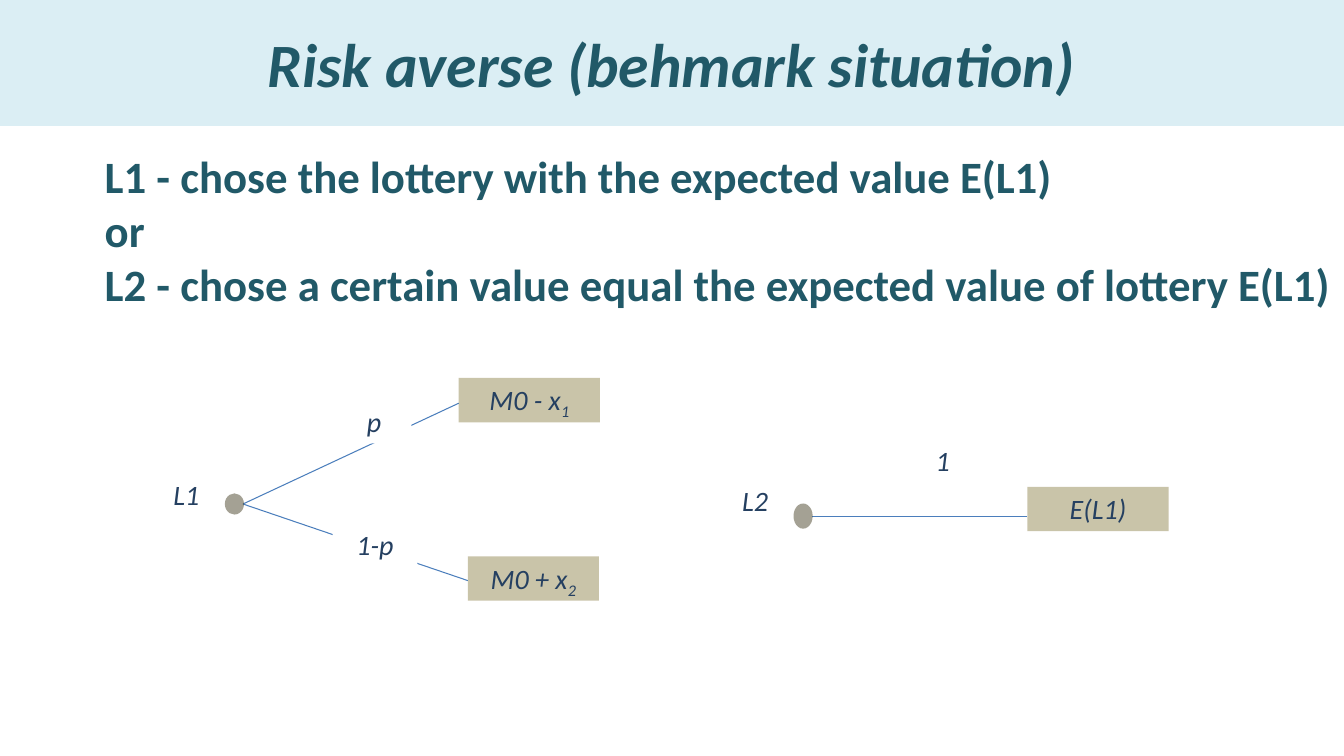
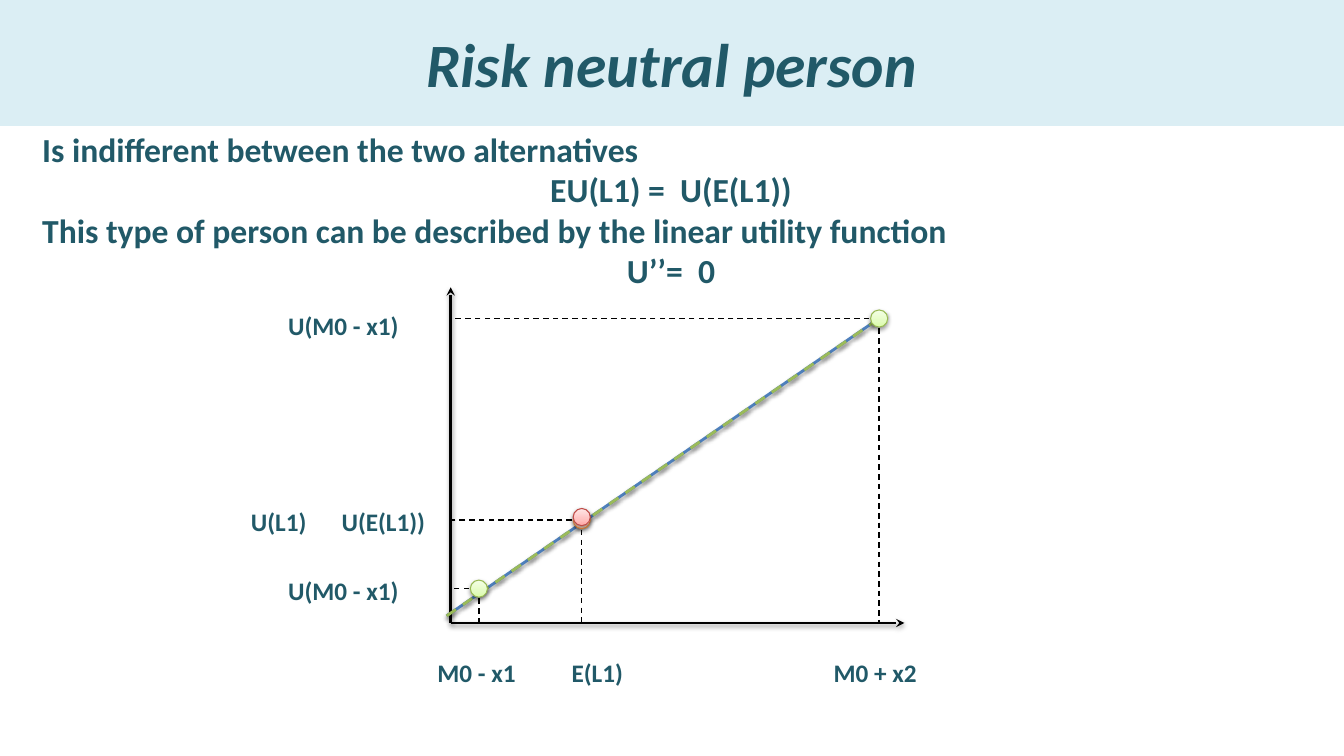
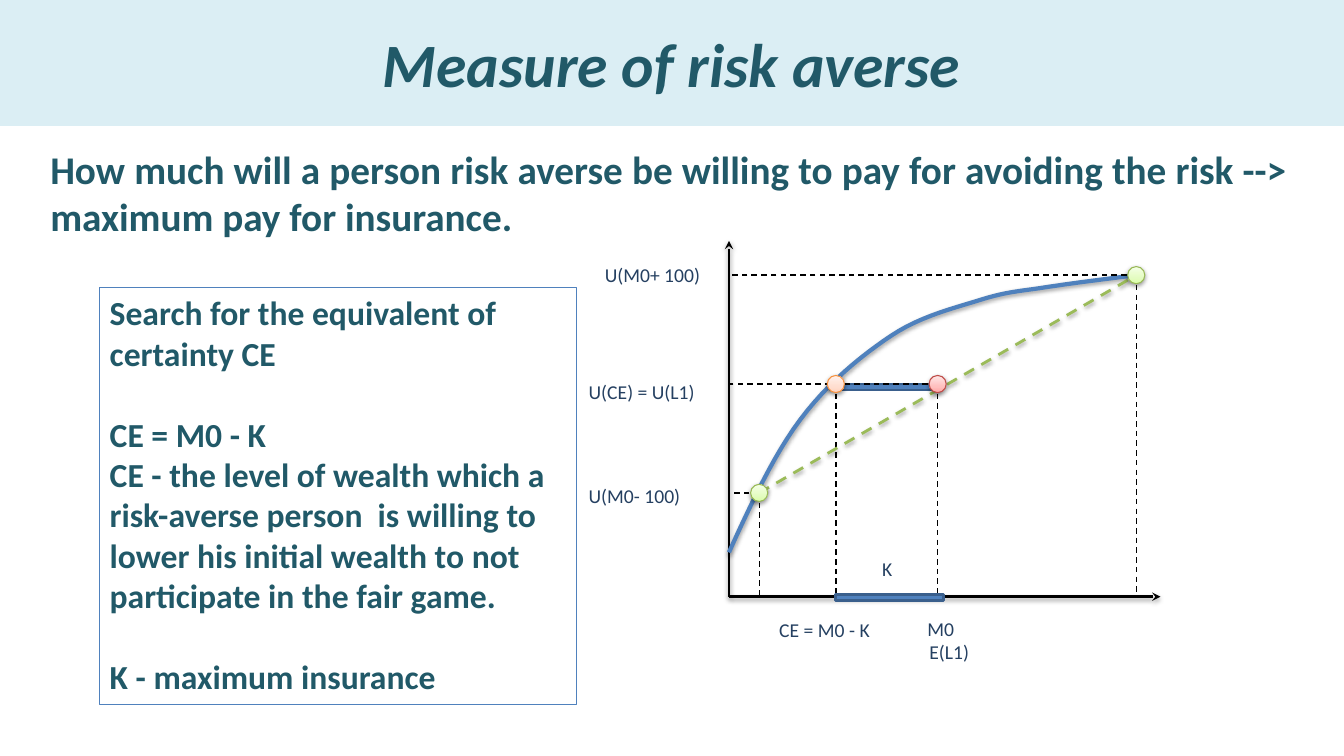
import dataclasses

import pptx
import pptx.dml.color
import pptx.enum.dml
import pptx.enum.shapes
import pptx.enum.text
import pptx.oxml
import pptx.oxml.ns
import pptx.util

Inches = pptx.util.Inches
Shapes = pptx.enum.shapes.MSO_SHAPE
Align = pptx.enum.text.PP_ALIGN
Anchor = pptx.enum.text.MSO_ANCHOR


@dataclasses.dataclass(frozen=True)
class Theme:
    font: str = "Calibri"
    band: str = "DBEEF4"
    teal: str = "215968"
    navy: str = "254061"
    blue: str = "4F81BD"
    dark_blue: str = "3A5F8C"
    branch: str = "4B7EBC"
    green: str = "9BBB59"
    node: str = "4A452A"
    outcome: str = "948A54"
    white: str = "FFFFFF"
    black: str = "000000"
    title_size: int = 44
    lead_size: int = 32
    question_size: int = 28
    body_size: int = 24
    tree_size: int = 20
    plot_size: int = 18
    small_size: int = 14


@dataclasses.dataclass(frozen=True)
class Box:
    left: float
    top: float
    width: float
    height: float

    def at(self, x, y):
        return self.left + x, self.top + y

    def inner(self, x, y, width, height):
        return Box(self.left + x, self.top + y, width, height)

    def lengths(self):
        return [Inches(v) for v in (self.left, self.top, self.width, self.height)]


THEME = Theme()
# Marker colours: outline, then gradient stops at 0, 35 and 100 percent
GREEN_DOT = ("98B955", "DAFDA7", "E4FCC2", "F5FFE7")
ORANGE_DOT = ("F69240", "FFD2BD", "FFDED0", "FFF2ED")
RED_DOT = ("BF4C48", "FFA6A5", "FFC0BF", "FFE7E7")
MARKER_SIZE = 0.17


def rgb(value):
    return pptx.dml.color.RGBColor.from_string(value)


# Basic drawing

def set_effects(shape, shadow=False):
    """Replace the style's shadow by none or by a soft one below."""
    content = ""
    if shadow:
        content = ('<a:outerShdw blurRad="40000" dist="20000" dir="5400000" rotWithShape="0">'
                   '<a:srgbClr val="000000"><a:alpha val="38000"/></a:srgbClr></a:outerShdw>')
    shape._element.spPr.append(pptx.oxml.parse_xml(
        f'<a:effectLst {pptx.oxml.ns.nsdecls("a")}>{content}</a:effectLst>'))


def set_line(shape, color, width, dashed=False):
    shape.line.color.rgb = rgb(color)
    shape.line.width = pptx.util.Pt(width)
    if dashed:
        shape.line.dash_style = pptx.enum.dml.MSO_LINE.DASH


def add_line(slide, start, end, color, width, dashed=False, shadow=False, arrow=False):
    points = [Inches(value) for value in (*start, *end)]
    connector = slide.shapes.add_connector(pptx.enum.shapes.MSO_CONNECTOR.STRAIGHT, *points)
    set_line(connector, color, width, dashed)
    if arrow:
        connector.line._get_or_add_ln().append(pptx.oxml.parse_xml(
            f'<a:tailEnd {pptx.oxml.ns.nsdecls("a")} type="stealth"/>'))
    set_effects(connector, shadow)


def add_shape(slide, kind, box, fill=None, opacity=100, line=None, line_width=0.75):
    shape = slide.shapes.add_shape(kind, *box.lengths())
    shape.shadow.inherit = False
    if fill is None:
        shape.fill.background()
    else:
        shape.fill.solid()
        shape.fill.fore_color.rgb = rgb(fill)
        if opacity < 100:
            color = shape._element.spPr.find(".//" + pptx.oxml.ns.qn("a:srgbClr"))
            color.append(pptx.oxml.parse_xml(
                f'<a:alpha {pptx.oxml.ns.nsdecls("a")} val="{opacity * 1000}"/>'))
    if line is None:
        shape.line.fill.background()
    else:
        set_line(shape, line, line_width)
    return shape


def write(shape, paragraphs, size, color, bold=False, italic=False,
          align=Align.LEFT, anchor=Anchor.TOP):
    """Each paragraph is (text or runs, alignment or None, space before)."""
    frame = shape.text_frame
    frame.word_wrap = True
    frame.vertical_anchor = anchor
    for index, (runs, own_align, space) in enumerate(paragraphs):
        paragraph = frame.paragraphs[0] if index == 0 else frame.add_paragraph()
        paragraph.alignment = align if own_align is None else own_align
        if space:
            paragraph.space_before = pptx.util.Pt(space)
        for text, baseline in ([(runs, 0)] if isinstance(runs, str) else runs):
            run = paragraph.add_run()
            run.text = text
            run.font.name = THEME.font
            run.font.size = pptx.util.Pt(size)
            run.font.color.rgb = rgb(color)
            run.font.bold = bold
            run.font.italic = italic
            if baseline:
                run._r.get_or_add_rPr().set("baseline", str(baseline * 1000))


def add_text(slide, box, paragraphs, size, color=THEME.teal, **style):
    write(slide.shapes.add_textbox(*box.lengths()), paragraphs, size, color, **style)


def add_titled_slide(presentation, title):
    slide = presentation.slides.add_slide(presentation.slide_layouts[6])
    band = add_shape(slide, Shapes.RECTANGLE, Box(0, 0, 13.33, 1.25), THEME.band)
    write(band, [(title, None, 0)], THEME.title_size, THEME.teal, bold=True, italic=True,
          align=Align.CENTER, anchor=Anchor.MIDDLE)
    return slide


# Lottery tree

def add_lottery(slide, box, name, name_top, node_middle, node_height, branches):
    """Each branch is (outcome runs, outcome box, line end y, chance, chance box)."""
    node = box.inner(0.75, node_middle - node_height / 2, 0.19, node_height)
    for _, (x, *_rest), line_end, _, _ in branches:
        add_line(slide, box.at(0.93, node_middle), box.at(x, line_end), THEME.branch, 0.75)
    add_shape(slide, Shapes.OVAL, node, THEME.node, 50)
    labels = [(name, (0, name_top, 0.74), THEME.white, 100)]
    for outcome, outcome_place, _, chance, chance_place in branches:
        labels.append((outcome, outcome_place, THEME.outcome, 50))
        labels.append((chance, chance_place, THEME.white, 100))
    for text, (x, y, width), fill, opacity in labels:
        label = add_shape(slide, Shapes.RECTANGLE, box.inner(x, y, width, 0.44), fill, opacity)
        write(label, [(text, None, 0)], THEME.tree_size, THEME.navy, italic=True,
              align=Align.CENTER)


# Utility plot: offsets run from the top left corner of the axes

def add_axes(slide, axes):
    corner = axes.at(0, axes.height)
    for end in (axes.at(0, 0), axes.at(axes.width, axes.height)):
        add_line(slide, corner, end, THEME.black, 2, shadow=True, arrow=True)


def add_guides(slide, axes, points):
    """Dashed lines from each point to both axes."""
    for x, y in points:
        for end in (axes.at(x, axes.height), axes.at(0, y)):
            add_line(slide, axes.at(x, y), end, THEME.black, 1, dashed=True)


def add_markers(slide, axes, markers):
    for (x, y), (outline, *stops) in markers:
        half = MARKER_SIZE / 2
        place = axes.inner(x - half, y - half, MARKER_SIZE, MARKER_SIZE)
        marker = slide.shapes.add_shape(Shapes.OVAL, *place.lengths())
        gradient = "".join(f'<a:gs pos="{position}000"><a:srgbClr val="{color}"/></a:gs>'
                           for position, color in zip((0, 35, 100), stops))
        marker._element.spPr.append(pptx.oxml.parse_xml(
            f'<a:gradFill {pptx.oxml.ns.nsdecls("a")} rotWithShape="1"><a:gsLst>{gradient}'
            '</a:gsLst><a:lin ang="16200000" scaled="0"/></a:gradFill>'))
        set_line(marker, outline, 0.75)
        set_effects(marker, shadow=True)


def add_plot_labels(slide, axes, labels, size, color, bold=False):
    for text, x, y, width in labels:
        add_text(slide, axes.inner(x, y, width, 0.4), [(text, None, 0)], size, color, bold=bold)


def add_curve(slide, axes, start, segments, steps=12):
    """Draw cubic segments, each (first control, second control, end)."""
    points = [start]
    for first, second, end in segments:
        origin = points[-1]
        for step in range(1, steps + 1):
            t = step / steps
            weights = ((1 - t) ** 3, 3 * t * (1 - t) ** 2, 3 * t * t * (1 - t), t ** 3)
            points.append(tuple(
                sum(weight * point[axis] for weight, point
                    in zip(weights, (origin, first, second, end))) for axis in (0, 1)))
    places = [tuple(Inches(value) for value in axes.at(*point)) for point in points]
    builder = slide.shapes.build_freeform(*places[0], scale=1.0)
    builder.add_line_segments(places[1:], close=False)
    curve = builder.convert_to_shape()
    curve.fill.background()
    set_line(curve, THEME.blue, 3)
    set_effects(curve, shadow=True)


def add_linear_plot(slide, axes):
    start, low, middle, high = (-0.04, 3.26), (0.28, 2.99), (1.3, 2.31), (4.25, 0.31)
    add_line(slide, axes.at(*start), axes.at(4.32, 0.26), THEME.blue, 2, shadow=True)
    add_axes(slide, axes)
    add_guides(slide, axes, [low, middle, high])
    add_line(slide, axes.at(*start), axes.at(*high), THEME.green, 2, dashed=True, shadow=True)
    add_markers(slide, axes, [(high, GREEN_DOT), (low, GREEN_DOT), (middle, ORANGE_DOT),
                              ((1.3, 2.28), RED_DOT)])
    add_plot_labels(slide, axes, [
        ("U(M0 - x1)", -1.71, 0.18, 1.48),
        ("U(M0 - x1)", -1.71, 2.81, 1.48),
        ("U(L1)", -2.08, 2.12, 0.98),
        ("U(E(L1))", -1.18, 2.12, 1.14),
        ("M0 - x1", -0.23, 3.62, 1.28),
        ("E(L1)", 1.1, 3.62, 1.18),
        ("M0 + x2", 3.7, 3.62, 1.42),
    ], THEME.plot_size, THEME.teal, bold=True)


def add_concave_plot(slide, axes):
    low, certain, expected, high = (0.3, 2.5), (1.06, 1.42), (2.07, 1.42), (4.04, 0.34)

    def add_premium_bar(x, y):
        add_shape(slide, Shapes.RECTANGLE, axes.inner(x, y, 1.07, 0.06), THEME.blue,
                  line=THEME.dark_blue, line_width=2)

    add_premium_bar(1.01, 1.42)
    add_axes(slide, axes)
    add_curve(slide, axes, (0, 3.09), [
        ((0.22, 2.61), (0.44, 2.13), (0.71, 1.77)),
        ((0.98, 1.41), (1.31, 1.14), (1.61, 0.94)),
        ((1.91, 0.74), (2.26, 0.66), (2.51, 0.58)),
        ((2.77, 0.5), (2.89, 0.5), (3.14, 0.46)),
        ((3.4, 0.42), (3.72, 0.38), high),
    ])
    add_guides(slide, axes, [low, expected, high])
    add_line(slide, axes.at(*certain), axes.at(certain[0], axes.height),
             THEME.black, 1, dashed=True)
    add_line(slide, axes.at(*low), axes.at(*high), THEME.green, 2, dashed=True, shadow=True)
    add_markers(slide, axes, [(high, GREEN_DOT), (expected, RED_DOT),
                              (certain, ORANGE_DOT), (low, GREEN_DOT)])
    add_premium_bar(1.06, 3.51)
    add_plot_labels(slide, axes, [
        ("U(M0+ 100)", -1.33, 0.17, 1.33),
        ("U(CE) = U(L1)", -1.49, 1.33, 1.71),
        ("U(M0- 100)", -1.49, 2.36, 1.39),
        ("K", 1.42, 3.09, 0.4),
        ("CE = M0 - K", 0.4, 3.69, 1.32),
        ("M0", 1.87, 3.68, 0.6),
        ("E(L1)", 1.89, 3.91, 0.97),
    ], THEME.small_size, THEME.navy)


# Slides

def build_benchmark_slide(presentation):
    slide = add_titled_slide(presentation, "Risk averse (behmark situation)")
    add_text(slide, Box(0.94, 1.43, 12.39, 1.72), [
        ("L1 - chose the lottery with the expected value E(L1)", None, 0),
        ("or", None, 0),
        ("L2 - chose a certain value equal the expected value of lottery E(L1)", None, 0),
    ], THEME.lead_size, bold=True)
    add_lottery(slide, Box(1.48, 3.75, 4.47, 2.21), "L1", 0.94, 1.25, 0.21, [
        ([("M0 - x", 0), ("1", -25)], (3.07, 0, 1.4), 0.25, "p", (1.86, 0.21, 0.74)),
        ([("M0 + x", 0), ("2", -25)], (3.16, 1.77, 1.3), 2.01, "1-p", (1.82, 1.43, 0.84)),
    ])
    add_lottery(slide, Box(7.12, 4.35, 4.47, 0.92), "L2", 0.4, 0.77, 0.25, [
        ("E(L1)", (3.07, 0.48, 1.4), 0.77, "1", (1.86, 0, 0.74)),
    ])


def build_neutral_slide(presentation):
    slide = add_titled_slide(presentation, "Risk neutral person")
    add_text(slide, Box(0.32, 1.23, 12.67, 1.72), [
        ("Is indifferent between the two alternatives", None, 0),
        ("EU(L1) =  U(E(L1))", Align.CENTER, 0),
        ("This type of person can be described by the linear utility function", None, 0),
        ("U’’=  0", Align.CENTER, 0),
    ], THEME.body_size, bold=True)
    add_linear_plot(slide, Box(4.47, 2.85, 4.5, 3.33))


def build_measure_slide(presentation):
    slide = add_titled_slide(presentation, "Measure of risk averse")
    add_text(slide, Box(0.4, 1.39, 12.55, 1.04), [
        ("How much will a person risk averse be willing to pay for avoiding the risk -->  "
         "maximum pay for insurance.", None, 0),
    ], THEME.question_size, bold=True, align=Align.JUSTIFY)
    add_concave_plot(slide, Box(7.23, 2.39, 4.28, 3.53))
    # Definition panel, with a line's height before each new group
    panel = add_shape(slide, Shapes.RECTANGLE, Box(0.99, 2.85, 4.73, 4.14), line=THEME.blue)
    gap = 29
    write(panel, [
        ("Search for the equivalent of certainty CE", None, 0),
        ("CE = M0 - K", None, gap),
        ("CE - the level of wealth which a risk-averse person  is willing to lower his "
         "initial wealth to not participate in the fair game.", None, 0),
        ("K - maximum insurance", None, gap),
    ], THEME.body_size, THEME.teal, bold=True)


def main():
    presentation = pptx.Presentation()
    presentation.slide_width = Inches(13.33)
    presentation.slide_height = Inches(7.5)
    build_benchmark_slide(presentation)
    build_neutral_slide(presentation)
    build_measure_slide(presentation)
    presentation.save("out.pptx")


if __name__ == "__main__":
    main()
